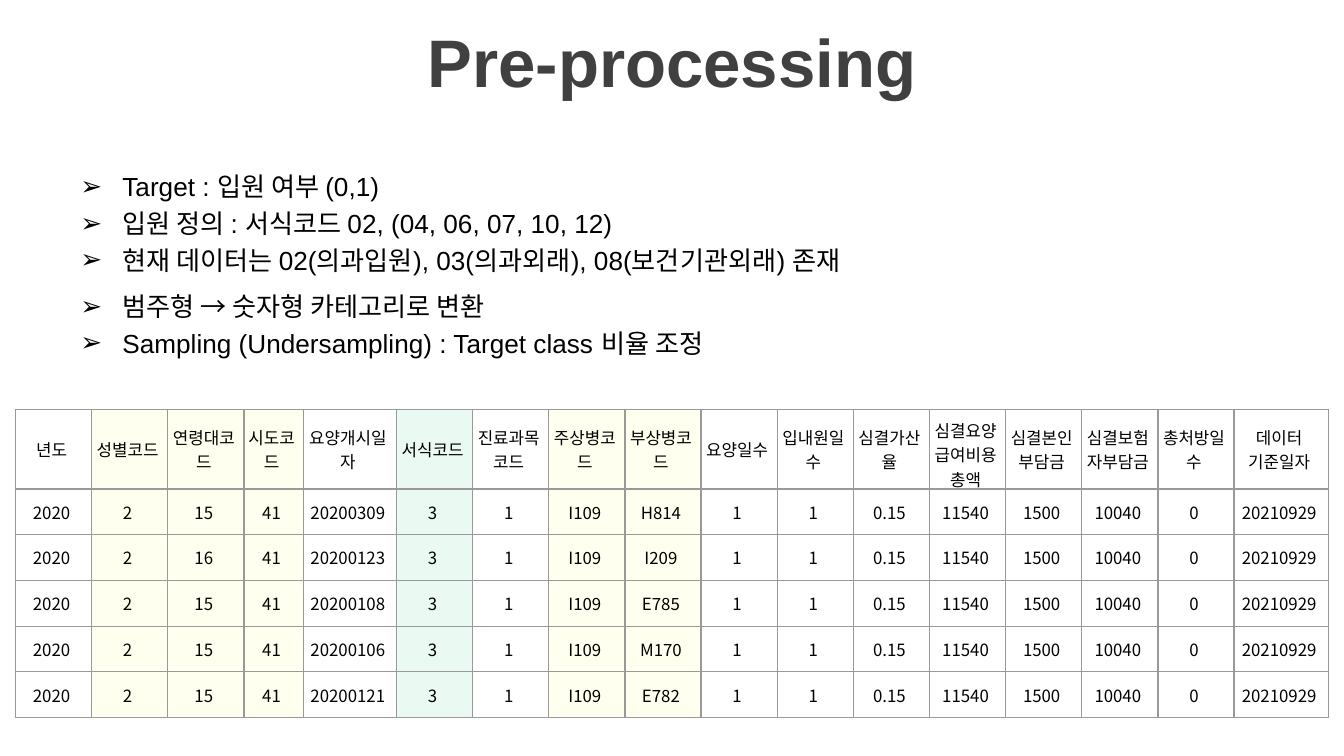
from lxml.etree import SubElement as Sub
from pptx import Presentation
from pptx.dml.color import RGBColor as RGB
from pptx.enum.text import MSO_ANCHOR as Anchor, PP_ALIGN as Align
from pptx.oxml.ns import qn
from pptx.util import Pt

BLACK = RGB(0x00, 0x00, 0x00)
DARK = RGB(0x40, 0x40, 0x40)
GREY = RGB(0x99, 0x99, 0x99)
WHITE = RGB(0xFF, 0xFF, 0xFF)
CREAM = RGB(0xFF, 0xFF, 0xEF)
MINT = RGB(0xEA, 0xF9, 0xF1)

# Each point with the space above it
POINTS = [
    ("Target : 입원 여부 (0,1)", 2.8),
    ("입원 정의 : 서식코드 02, (04, 06, 07, 10, 12)", 2.8),
    ("현재 데이터는 02(의과입원), 03(의과외래), 08(보건기관외래) 존재", 2.8),
    ("범주형 → 숫자형 카테고리로 변환", 8),
    ("Sampling (Undersampling) : Target class 비율 조정", 2.8),
]

HEADS = ["년도", "성별코드", "연령대코드", "시도코드", "요양개시일자", "서식코드",
         "진료과목코드", "주상병코드", "부상병코드", "요양일수", "입내원일수",
         "심결가산율", "심결요양급여비용총액", "심결본인부담금",
         "심결보험자부담금", "총처방일수", "데이터 기준일자"]

# Age band, start date and second diagnosis differ by row
CASES = [("15", "20200309", "H814"), ("16", "20200123", "I209"),
         ("15", "20200108", "E785"), ("15", "20200106", "M170"),
         ("15", "20200121", "E782")]
ROWS = [HEADS] + [
    ["2020", "2", age, "41", start, "3", "1", "I109", sick, "1", "1",
     "0.15", "11540", "1500", "10040", "0", "20210929"]
    for age, start, sick in CASES]

WIDTHS = {3: 31.8, 4: 50, 16: 50.5}
FILLS = {1: CREAM, 2: CREAM, 3: CREAM, 5: MINT, 7: CREAM, 8: CREAM}


class Deck:
    def __init__(self, wide, high):
        self.prs = Presentation()
        self.prs.slide_width, self.prs.slide_height = Pt(wide), Pt(high)
        self.slide = self.prs.slides.add_slide(self.prs.slide_layouts[5])
        self.sans = "Arial"
        self.hangul = "Noto Sans CJK KR"

    def label(self, para, text, size, color, face, bold=False):
        run = para.add_run()
        run.text = text
        look = {"size": Pt(size), "name": face, "bold": bold}
        for name, value in look.items():
            setattr(run.font, name, value)
        run.font.color.rgb = color
        return run

    def title(self, text, **box):
        shape = self.slide.shapes.title
        for name, value in box.items():
            setattr(shape, name, Pt(value))
        frame = shape.text_frame
        frame.vertical_anchor = Anchor.MIDDLE
        para = frame.paragraphs[0]
        para.alignment = Align.CENTER
        self.label(para, text, 36, DARK, self.sans, True)

    def points(self, items, left, top, width, height):
        box = self.slide.shapes.add_textbox(
            Pt(left), Pt(top), Pt(width), Pt(height))
        frame = box.text_frame
        frame.word_wrap = True
        frame.vertical_anchor = Anchor.BOTTOM
        frame.margin_bottom = Pt(28)
        for i, (text, gap) in enumerate(items):
            para = frame.add_paragraph() if i else frame.paragraphs[0]
            para.level = 1
            para.space_before = Pt(gap)
            props = para._p.get_or_add_pPr()
            props.set("marL", str(Pt(58.5)))
            props.set("indent", str(-Pt(22.5)))
            Sub(props, qn("a:buFont"), typeface=self.sans)
            Sub(props, qn("a:buChar"), char="➢")
            self.label(para, text, 14, BLACK, self.sans)

    def border(self, cell):
        props = cell._tc.get_or_add_tcPr()
        for side in ("lnL", "lnR", "lnT", "lnB"):
            line = Sub(props, qn(f"a:{side}"), w=str(Pt(0.75)))
            fill = Sub(line, qn("a:solidFill"))
            Sub(fill, qn("a:srgbClr"), val=str(GREY))

    def cell(self, cell, text, fill):
        style = {"margin_left": Pt(2.25), "margin_right": Pt(4.5),
                 "margin_top": Pt(4.5), "margin_bottom": Pt(4.5),
                 "vertical_anchor": Anchor.MIDDLE}
        for name, value in style.items():
            setattr(cell, name, value)
        para = cell.text_frame.paragraphs[0]
        para.alignment = Align.CENTER
        run = self.label(para, text, 9, BLACK, self.hangul)
        Sub(run._r.get_or_add_rPr(), qn("a:ea"), typeface=self.hangul)
        # Borders come before the fill in the cell's XML
        self.border(cell)
        cell.fill.solid()
        cell.fill.fore_color.rgb = fill

    def table(self, rows, left, top):
        wide = [WIDTHS.get(c, 40.8) for c in range(len(rows[0]))]
        high = [42.5] + [24.5] * (len(rows) - 1)
        grid = self.slide.shapes.add_table(
            len(rows), len(wide), Pt(left), Pt(top),
            Pt(sum(wide)), Pt(sum(high))).table
        for col, size in zip(grid.columns, wide):
            col.width = Pt(size)
        for r, row in enumerate(rows):
            grid.rows[r].height = Pt(high[r])
            for c, text in enumerate(row):
                self.cell(grid.cell(r, c), text, FILLS.get(c, WHITE))


def main():
    deck = Deck(720, 405)
    deck.title("Pre-processing", left=0, top=10, width=720, height=45.5)
    deck.points(POINTS, 0, 101, 720, 119)
    deck.table(ROWS, 8.3, 219.5)
    deck.prs.save("out.pptx")


if __name__ == "__main__":
    main()
